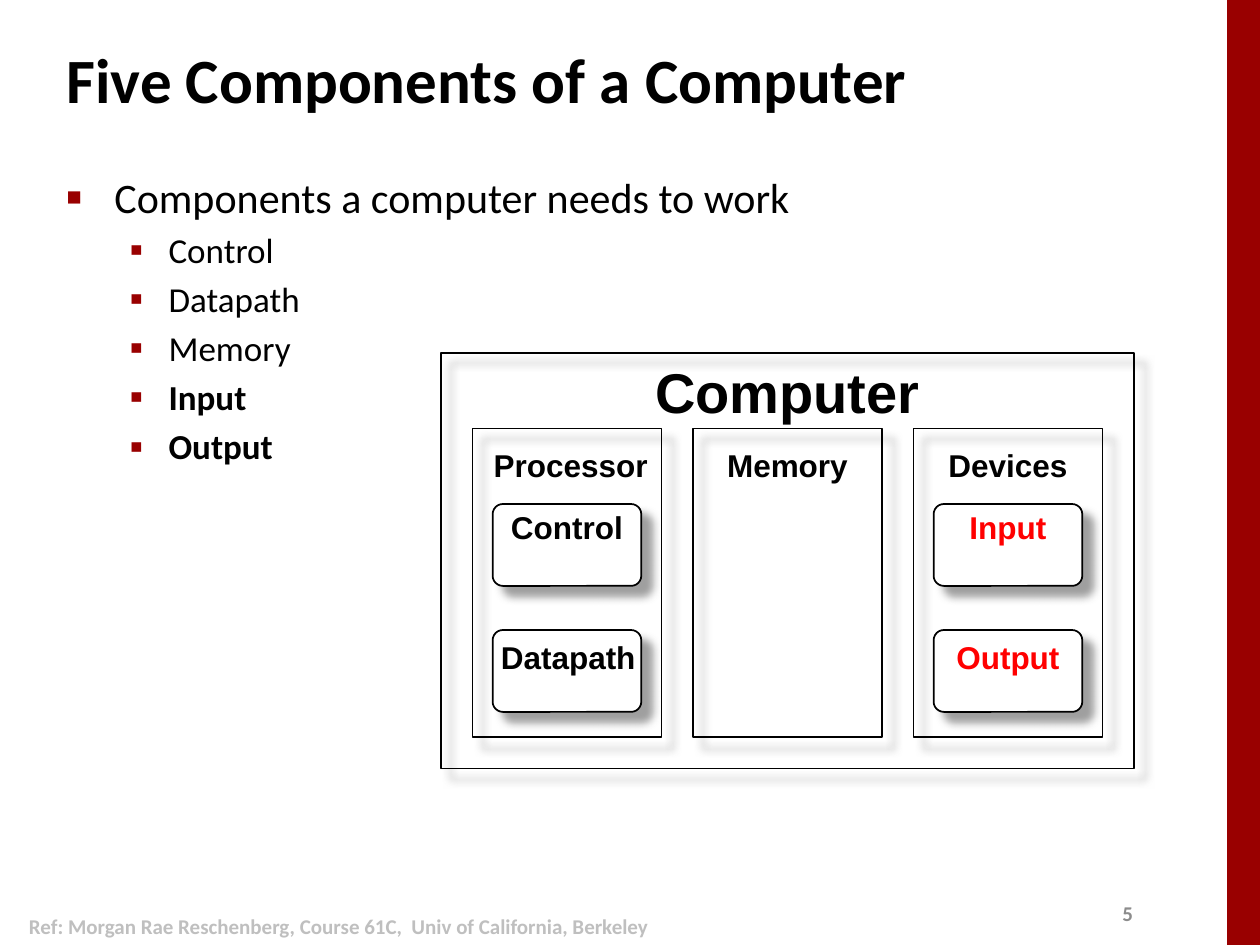
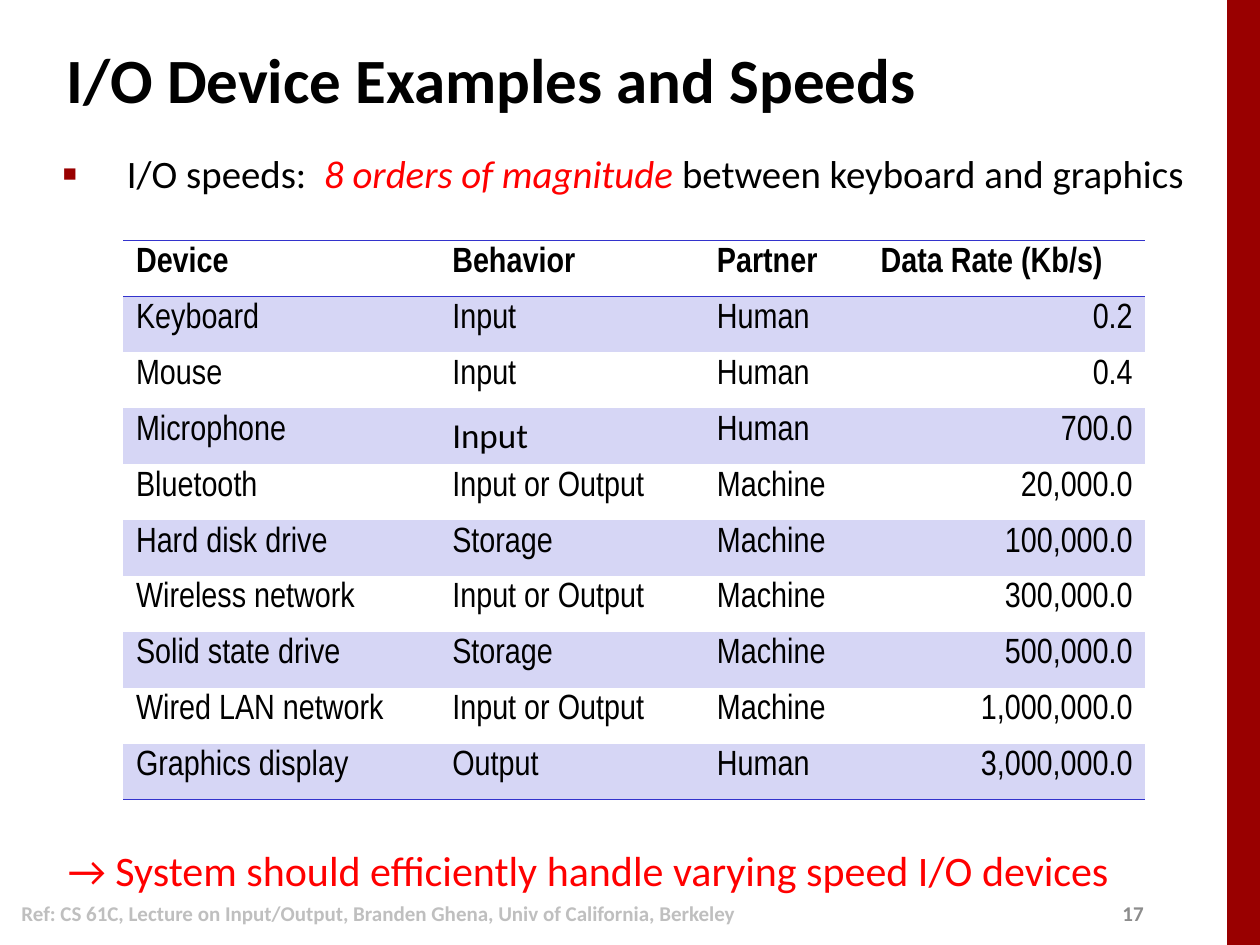
from lxml import etree
from pptx import Presentation
from pptx.dml.color import RGBColor
from pptx.enum.shapes import MSO_SHAPE
from pptx.enum.text import MSO_ANCHOR, PP_ALIGN
from pptx.oxml import parse_xml
from pptx.oxml.ns import qn
from pptx.util import Inches, Pt

RECT, ROUND = MSO_SHAPE.RECTANGLE, MSO_SHAPE.ROUNDED_RECTANGLE
TOP, MID = MSO_ANCHOR.TOP, MSO_ANCHOR.MIDDLE
LEFT, CENTER, RIGHT = PP_ALIGN.LEFT, PP_ALIGN.CENTER, PP_ALIGN.RIGHT

NS = 'xmlns:a="http://schemas.openxmlformats.org/drawingml/2006/main"'
PLAIN = "{2D5ABB26-0587-4C30-8999-92F81FD0307C}"
INK = {
    "black": "000000", "white": "FFFFFF", "band": "990000", "red": "FF0000",
    "page": "8C8C8C", "ref": "BFBFBF", "rule": "3333CC", "stripe": "D6D6F5",
    "shade": "808080",
}
SHADE = f"""<a:effectLst {NS}><a:outerShdw blurRad="{Pt(5)}" dist="{Pt(8.5)}"
 dir="2700000" algn="ctr" rotWithShape="0"><a:srgbClr val="{INK['shade']}">
<a:alpha val="75000"/></a:srgbClr></a:outerShdw></a:effectLst>"""


def frame(slide, box, anchor=TOP, wrap=True, pad=(0.1, 0.05)):
    text = slide.shapes.add_textbox(*map(Inches, box)).text_frame
    text.word_wrap = wrap
    text.vertical_anchor = anchor
    text.margin_left = text.margin_right = Inches(pad[0])
    text.margin_top = text.margin_bottom = Inches(pad[1])
    return text


def say(para, words, size, tint="black", face="Calibri", bold=False, slant=False):
    run = para.add_run()
    run.text = words
    font = run.font
    font.size, font.name, font.bold, font.italic = Pt(size), face, bold, slant
    font.color.rgb = RGBColor.from_string(INK[tint])


deck = Presentation()
deck.slide_width, deck.slide_height = Inches(10), Inches(7.5)

heads = [
    ("Five Components of a Computer", "5", (0.01, 7.15, 5.36, 0.4),
     "Ref: Morgan Rae Reschenberg, Course 61C,  Univ of California, Berkeley"),
    ("I/O Device Examples and Speeds", "17", (0.01, 7, 5.99, 0.5),
     "Ref: CS 61C, Lecture on Input/Output, Branden Ghena, Univ of California, Berkeley"),
]
for title, page, spot, ref in heads:
    slide = deck.slides.add_slide(deck.slide_layouts[6])
    band = slide.shapes.add_shape(RECT, Inches(9.74), 0, Inches(0.26), Inches(7.5))
    band.shadow.inherit = False
    band.fill.solid()
    band.fill.fore_color.rgb = RGBColor.from_string(INK["band"])
    band.line.fill.background()
    say(frame(slide, (0.43, 0.21, 8.3, 0.83), MID).paragraphs[0], title, 36, bold=True)
    say(frame(slide, (8.81, 7.1, 0.4, 0.3), MID).paragraphs[0], page, 12, "page", bold=True)
    para = frame(slide, spot, MID).paragraphs[0]
    para.alignment = CENTER
    say(para, ref, 12, "ref", bold=True)

parts, speeds = deck.slides

main = ("■", 60, 0.38, 0.38)
sub = ("▪", 110, 0.81, 0.31)
wide = ("■", 60, 0.51, 0.51)
body = frame(parts, (0.43, 1.31, 8.64, 5.67))
lead = frame(speeds, (0.4, 1.14, 9.6, 0.5))
points = [(body, main, 24, [("Components a computer needs to work", "black", False, False)])]
for word in ("Control", "Datapath", "Memory", "Input", "Output"):
    points.append((body, sub, 20, [(word, "black", word in ("Input", "Output"), False)]))
points.append((lead, wide, 22.2, [
    ("I/O speeds:  ", "black", False, False),
    ("8 orders of magnitude ", "red", False, True),
    ("between keyboard and graphics", "black", False, False),
]))
for text, (mark, scale, left, hang), size, runs in points:
    para = text.paragraphs[0]
    if para.runs:
        para = text.add_paragraph()
        para.space_before = Pt(size * 0.2)
    props = para._p.get_or_add_pPr()
    props.set("marL", str(Inches(left)))
    props.set("indent", str(-Inches(hang)))
    for xml in (f'<a:buClr {NS}><a:srgbClr val="{INK["band"]}"/></a:buClr>',
                f'<a:buSzPct {NS} val="{scale * 1000}"/>',
                f'<a:buFont {NS} typeface="Arial"/>',
                f'<a:buChar {NS} char="{mark}"/>'):
        props.append(parse_xml(xml))
    for words, tint, bold, slant in runs:
        say(para, words, size, tint, bold=bold, slant=slant)

boxes = [(RECT, 3.5, 2.8, 5.5, 3.3)]
boxes += [(RECT, 3.75 + 1.75 * col, 3.4, 1.5, 2.45) for col in range(3)]
boxes += [(ROUND, left, top, 1.18, 0.65) for left in (3.91, 7.41) for top in (4, 5)]
for kind, *box in boxes:
    shape = parts.shapes.add_shape(kind, *map(Inches, box))
    if kind == ROUND:
        shape.adjustments[0] = 0.125
        shape.fill.solid()
        shape.fill.fore_color.rgb = RGBColor.from_string(INK["white"])
    else:
        shape.fill.background()
    shape.line.color.rgb = RGBColor.from_string(INK["black"])
    shape.line.width = Pt(1)
    shape._element.spPr.append(parse_xml(SHADE))

labels = [
    ("Computer", 3.5, 2.89, 5.5, 32, "black"),
    ("Processor", 3.78, 3.56, 1.5, 18, "black"),
    ("Memory", 5.5, 3.56, 1.5, 18, "black"),
    ("Devices", 7.25, 3.56, 1.5, 18, "black"),
    ("Control", 3.75, 4.05, 1.5, 18, "black"),
    ("Datapath", 3.76, 5.08, 1.5, 18, "black"),
    ("Input", 7.25, 4.05, 1.5, 18, "red"),
    ("Output", 7.25, 5.08, 1.5, 18, "red"),
]
for word, left, top, width, size, tint in labels:
    para = frame(parts, (left, top, width, size / 60), pad=(0.07, 0.03)).paragraphs[0]
    para.alignment = CENTER
    para.line_spacing = 0.85
    say(para, word, size, tint, "Arial", bold=True)

rows = [
    ("Device", "Behavior", "Partner", "Data Rate (Kb/s)"),
    ("Keyboard", "Input", "Human", "0.2"),
    ("Mouse", "Input", "Human", "0.4"),
    ("Microphone", "Input", "Human", "700.0"),
    ("Bluetooth", "Input or Output", "Machine", "20,000.0"),
    ("Hard disk drive", "Storage", "Machine", "100,000.0"),
    ("Wireless network", "Input or Output", "Machine", "300,000.0"),
    ("Solid state drive", "Storage", "Machine", "500,000.0"),
    ("Wired LAN network", "Input or Output", "Machine", "1,000,000.0"),
    ("Graphics display", "Output", "Human", "3,000,000.0"),
]
last = len(rows) - 1
grid = speeds.shapes.add_table(
    len(rows), 4, Inches(0.98), Inches(1.91), Inches(8.12), Inches(4.44)).table
grid.first_row = grid.horz_banding = False
grid._tbl.tblPr.find(qn("a:tableStyleId")).text = PLAIN
for col, width in zip(grid.columns, (2.51, 2.1, 1.3, 2.2)):
    col.width = Inches(width)
for r, row in enumerate(rows):
    grid.rows[r].height = Inches(0.444)
    edges = {0: ("lnT", "lnB"), last: ("lnB",)}.get(r, ())
    for c, words in enumerate(row):
        cell = grid.cell(r, c)
        props = cell._tc.get_or_add_tcPr()
        for edge in edges:
            line = etree.SubElement(props, qn(f"a:{edge}"), w=str(Pt(1)))
            fill = etree.SubElement(line, qn("a:solidFill"))
            etree.SubElement(fill, qn("a:srgbClr"), val=INK["rule"])
        if r % 2:
            cell.fill.solid()
            cell.fill.fore_color.rgb = RGBColor.from_string(INK["stripe"])
        else:
            cell.fill.background()
        para = cell.text_frame.paragraphs[0]
        para.alignment = RIGHT if r and c == 3 else LEFT
        face = "Calibri" if (r, c) == (3, 1) else "Arial Narrow"
        say(para, words, 20, face=face, bold=r == 0)

note = frame(speeds, (0.44, 6.65, 8.79, 0.5), wrap=False)
say(note.paragraphs[0], "→ System should efficiently handle varying speed I/O devices", 24, "red")

deck.save("out.pptx")
